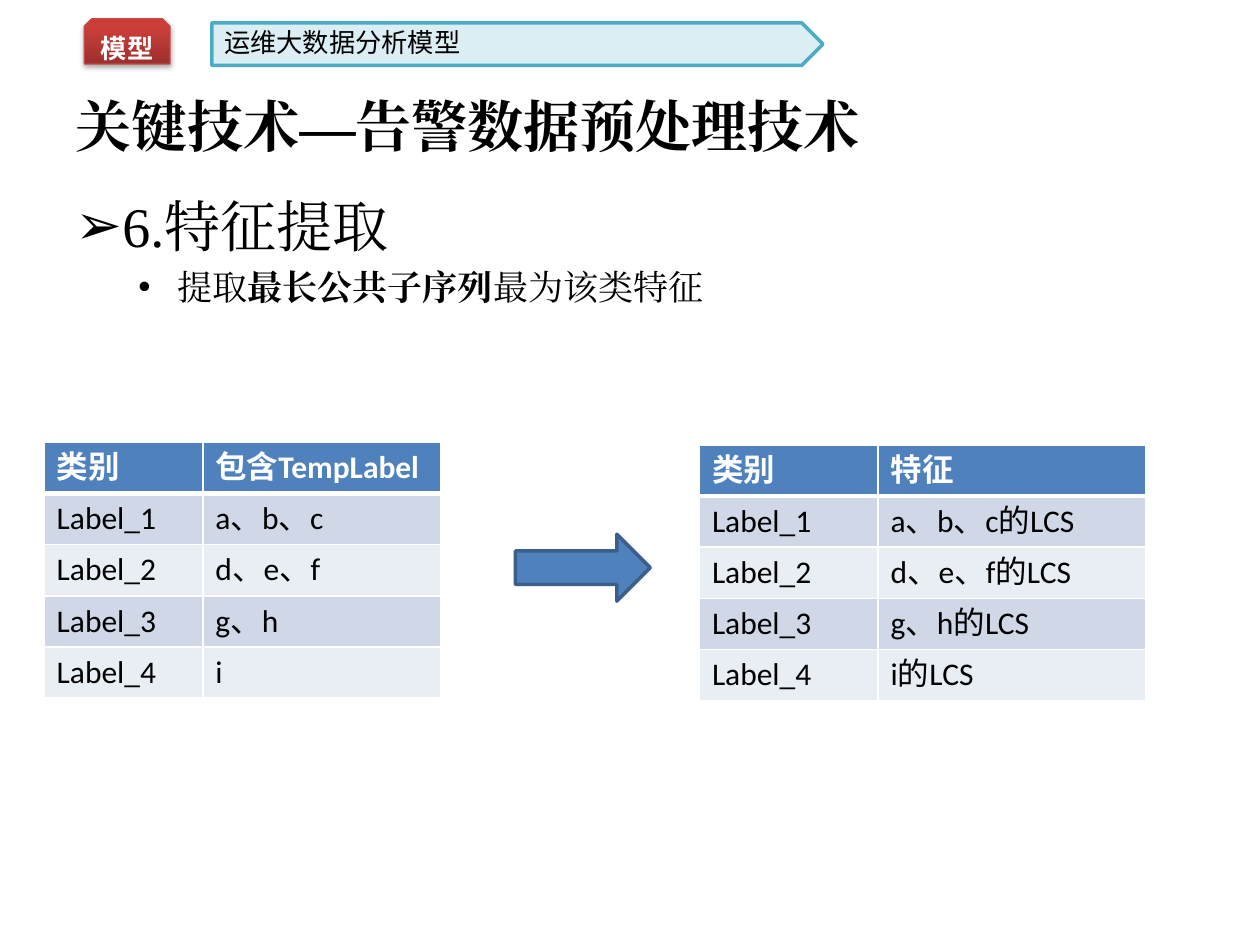
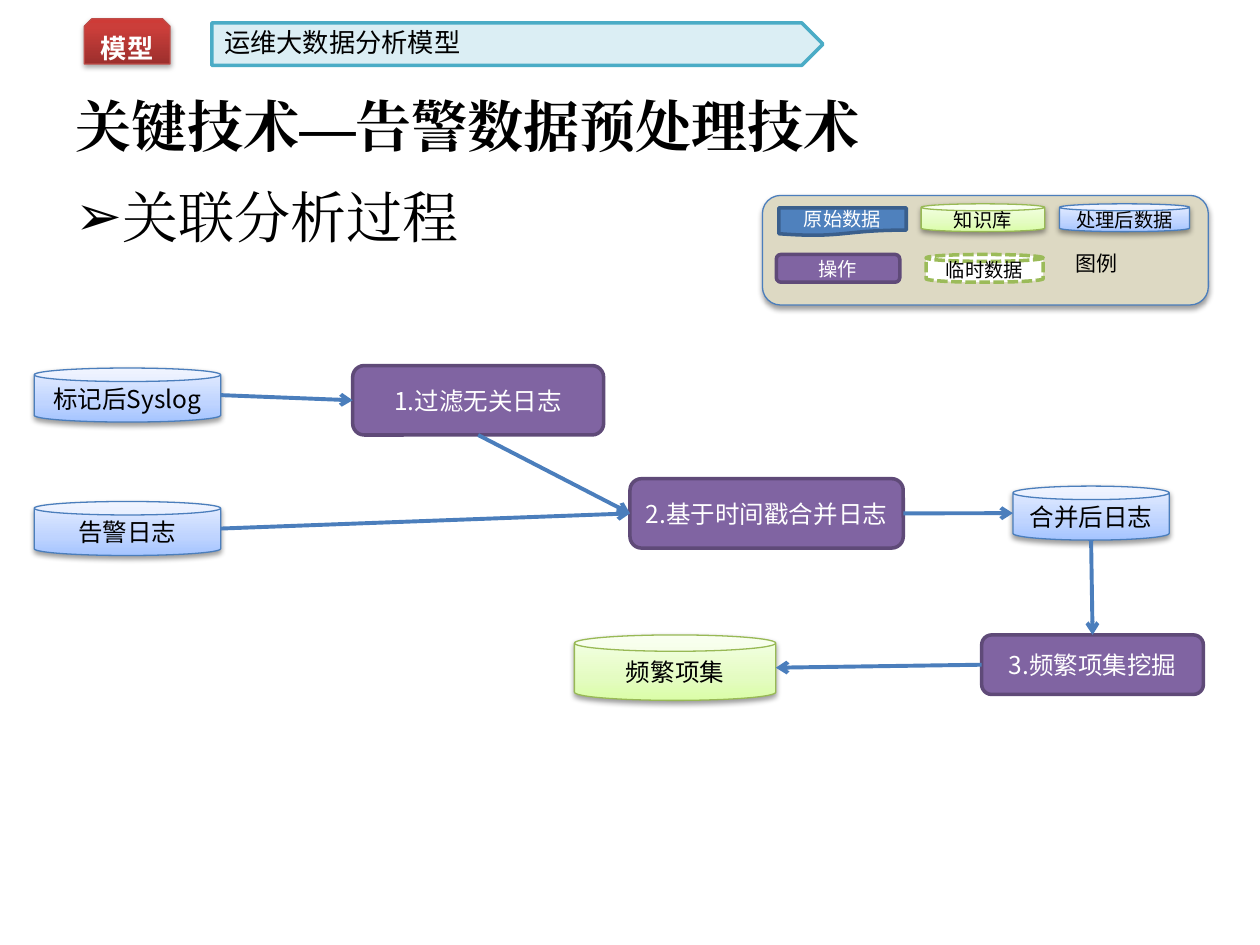
from collections import namedtuple

import pptx
import pptx.dml.color
import pptx.enum.dml
import pptx.enum.shapes
import pptx.enum.text
import pptx.oxml.ns
import pptx.util
from lxml import etree

Cm, Pt = pptx.util.Cm, pptx.util.Pt
RGBColor = pptx.dml.color.RGBColor
SHAPE = pptx.enum.shapes.MSO_SHAPE
ALIGN = pptx.enum.text.PP_ALIGN
ANCHOR = pptx.enum.text.MSO_ANCHOR
qn = pptx.oxml.ns.qn

BLACK = RGBColor(0x00, 0x00, 0x00)
WHITE = RGBColor(0xFF, 0xFF, 0xFF)
BLUE = RGBColor(0x4F, 0x81, 0xBD)
BLUE_EDGE = RGBColor(0x3A, 0x5F, 0x8C)
BLUE_LINE = RGBColor(0x4B, 0x7E, 0xBC)
ROW_DARK = RGBColor(0xD0, 0xD8, 0xE8)
ROW_LIGHT = RGBColor(0xE9, 0xED, 0xF4)
PURPLE = RGBColor(0x80, 0x64, 0xA2)
PURPLE_EDGE = RGBColor(0x5F, 0x4A, 0x78)
GREEN = RGBColor(0x9B, 0xBB, 0x59)
GREEN_LINE = RGBColor(0x98, 0xB9, 0x55)
AQUA = RGBColor(0x4B, 0xAC, 0xC6)
AQUA_PALE = RGBColor(0xDB, 0xEE, 0xF4)
RED_LINE = RGBColor(0xBF, 0x4C, 0x48)
TAN = RGBColor(0xDD, 0xD9, 0xC3)
RED_STOPS = [(0, RGBColor(0x9C, 0x2F, 0x2D)), (80, RGBColor(0xCB, 0x3E, 0x3A)),
             (100, RGBColor(0xCE, 0x3B, 0x37))]
BLUE_STOPS = [(0, RGBColor(0xA4, 0xC4, 0xFF)), (35, RGBColor(0xBF, 0xD4, 0xFF)),
              (100, RGBColor(0xE6, 0xEE, 0xFF))]
GREEN_STOPS = [(0, RGBColor(0xDA, 0xFD, 0xA7)), (35, RGBColor(0xE4, 0xFC, 0xC2)),
               (100, RGBColor(0xF5, 0xFF, 0xE7))]

SANS, SERIF, TABLE_FONT = "Noto Sans CJK SC", "Times New Roman", "Calibri"

# fill is a colour or a list of gradient stops; shadow is opacity in percent
Look = namedtuple("Look", "kind fill edge width text shadow", defaults=(BLACK, 0))
BANNER = Look(SHAPE.PENTAGON, AQUA_PALE, AQUA, 2)
BADGE = Look(SHAPE.SNIP_2_SAME_RECTANGLE, RED_STOPS, RED_LINE, 0.75, WHITE, 35)
ARROW = Look(SHAPE.RIGHT_ARROW, BLUE, BLUE_EDGE, 2)
RAW_DATA = Look(SHAPE.FLOWCHART_DOCUMENT, BLUE, BLUE_EDGE, 2, WHITE)
OPERATION = Look(SHAPE.ROUNDED_RECTANGLE, PURPLE, PURPLE_EDGE, 2, WHITE)
KNOWLEDGE = Look(SHAPE.CAN, GREEN_STOPS, GREEN_LINE, 0.75, BLACK, 38)
PROCESSED = Look(SHAPE.CAN, BLUE_STOPS, BLUE_LINE, 0.75, BLACK, 38)
TEMPORARY = Look(SHAPE.CAN, WHITE, GREEN, 2)
LEGEND_PANEL = Look(SHAPE.ROUNDED_RECTANGLE, TAN, BLUE_LINE, 0.75, BLACK, 38)

TOP, LEFT, BOTTOM, RIGHT = range(4)


def format_runs(paragraph, font_name, size, color, bold=False):
    for run in paragraph.runs:
        run.font.name = font_name
        run.font.size = Pt(size)
        run.font.bold = bold
        run.font.color.rgb = color
        latin = run.font._element.find(qn("a:latin"))
        east_asian = etree.Element(qn("a:ea"), typeface=font_name)
        latin.addnext(east_asian)


def fill_gradient(shape, stops):
    """Fill from bottom to top through (percent, colour) stops."""
    shape.fill.gradient()
    shape.fill.gradient_angle = 90
    stop_list = shape._element.spPr.find(".//" + qn("a:gsLst"))
    for old_stop in list(stop_list):
        stop_list.remove(old_stop)
    for percent, color in stops:
        stop = etree.SubElement(stop_list, qn("a:gs"), pos=str(percent * 1000))
        etree.SubElement(stop, qn("a:srgbClr"), val=str(color))


def cast_shadow(shape, opacity):
    effects = shape._element.spPr.find(qn("a:effectLst"))
    shadow = etree.SubElement(effects, qn("a:outerShdw"), blurRad=str(Pt(3.1)),
                              dist=str(Pt(1.7)), dir="5400000", rotWithShape="0")
    color = etree.SubElement(shadow, qn("a:srgbClr"), val=str(BLACK))
    etree.SubElement(color, qn("a:alpha"), val=str(opacity * 1000))


def add_block(shapes, look, left, top, width, height, label="", size=14, bold=False):
    block = shapes.add_shape(look.kind, Cm(left), Cm(top), Cm(width), Cm(height))
    if isinstance(look.fill, RGBColor):
        block.fill.solid()
        block.fill.fore_color.rgb = look.fill
    else:
        fill_gradient(block, look.fill)
    block.line.color.rgb = look.edge
    block.line.width = Pt(look.width)
    block.shadow.inherit = False
    if look.shadow:
        cast_shadow(block, look.shadow)
    if label:
        frame = block.text_frame
        frame.text = label
        frame.word_wrap = True
        frame.vertical_anchor = ANCHOR.MIDDLE
        frame.paragraphs[0].alignment = ALIGN.CENTER
        format_runs(frame.paragraphs[0], SANS, size, look.text, bold)
    return block


def add_text(shapes, left, top, width, height, text, font_name, size, bold=False):
    frame = shapes.add_textbox(Cm(left), Cm(top), Cm(width), Cm(height)).text_frame
    frame.word_wrap = True
    frame.text = text
    format_runs(frame.paragraphs[0], font_name, size, BLACK, bold)
    return frame


def add_bullet(paragraph, mark, margin, hanging, size):
    properties = paragraph._p.get_or_add_pPr()
    properties.set("marL", str(Cm(margin)))
    properties.set("indent", str(-Cm(hanging)))
    paragraph.space_before = Pt(size * 0.2)
    etree.SubElement(properties, qn("a:buFont"), typeface="Arial")
    etree.SubElement(properties, qn("a:buChar"), char=mark)


def add_heading(shapes, top, height, text):
    frame = add_text(shapes, 1.27, top, 22.86, height, text, SERIF, 32)
    add_bullet(frame.paragraphs[0], "➢", 0.95, 0.95, 32)
    return frame


def border_cell(cell, bottom_width):
    properties = cell._tc.get_or_add_tcPr()
    widths = (("a:lnL", 1), ("a:lnR", 1), ("a:lnT", 1), ("a:lnB", bottom_width))
    for position, (tag, width) in enumerate(widths):
        border = etree.Element(qn(tag), w=str(Pt(width)))
        fill = etree.SubElement(border, qn("a:solidFill"))
        etree.SubElement(fill, qn("a:srgbClr"), val=str(WHITE))
        properties.insert(position, border)


def add_label_table(shapes, left, top, column_widths, rows):
    row_height = 1.03
    table = shapes.add_table(len(rows), len(column_widths), Cm(left), Cm(top),
                             Cm(sum(column_widths)), Cm(row_height * len(rows))).table
    for column, width in zip(table.columns, column_widths):
        column.width = Cm(width)
    for r, texts in enumerate(rows):
        header = r == 0
        for c, text in enumerate(texts):
            cell = table.cell(r, c)
            cell.text = text
            format_runs(cell.text_frame.paragraphs[0], TABLE_FONT, 18,
                        WHITE if header else BLACK, header)
            cell.fill.solid()
            cell.fill.fore_color.rgb = BLUE if header else (ROW_LIGHT, ROW_DARK)[r % 2]
            border_cell(cell, 3 if header else 1)


def side_middle(block, side):
    x = block.left + {LEFT: 0, RIGHT: block.width}.get(side, block.width // 2)
    y = block.top + {TOP: 0, BOTTOM: block.height}.get(side, block.height // 2)
    return x, y


def add_link(shapes, source, source_side, target, target_side):
    """Draw an arrow between two sides, joined where the block is an operation."""
    link = shapes.add_connector(pptx.enum.shapes.MSO_CONNECTOR.STRAIGHT,
                                *side_middle(source, source_side),
                                *side_middle(target, target_side))
    if source.auto_shape_type == OPERATION.kind:
        link.begin_connect(source, source_side)
    if target.auto_shape_type == OPERATION.kind:
        link.end_connect(target, target_side)
    link.line.color.rgb = BLUE_LINE
    link.line.width = Pt(2.25)
    properties = link._element.spPr
    etree.SubElement(properties.find(qn("a:ln")), qn("a:tailEnd"), type="arrow")
    etree.SubElement(properties, qn("a:effectLst"))


def add_slide(deck):
    """Add a slide with the shared title, badge and banner."""
    shapes = deck.slides.add_slide(deck.slide_layouts[6]).shapes
    title = add_text(shapes, 1.27, 1.12, 22.86, 2.82, "关键技术—告警数据预处理技术",
                     SERIF, 32, True)
    title.vertical_anchor = ANCHOR.MIDDLE
    banner = shapes.add_group_shape().shapes
    add_block(banner, BANNER, 4.27, 0.46, 12.32, 0.86)
    add_text(banner, 4.27, 0.41, 12.32, 0.89, "运维大数据分析模型", SANS, 15)
    badge = add_block(shapes, BADGE, 1.7, 0.38, 1.73, 0.91, "模型", 15, True)
    badge.text_frame.paragraphs[0].line_spacing = 1.3
    return shapes


def add_legend(shapes):
    legend = shapes.add_group_shape().shapes
    add_block(legend, LEGEND_PANEL, 15.37, 3.94, 8.99, 2.21)
    entries = [
        (RAW_DATA, 15.7, 4.19, 2.57, "原始数据"),
        (OPERATION, 15.65, 5.13, 2.49, "操作"),
        (KNOWLEDGE, 18.57, 4.11, 2.49, "知识库"),
        (TEMPORARY, 18.67, 5.13, 2.36, "临时数据"),
        (PROCESSED, 21.36, 4.11, 2.62, "处理后数据"),
    ]
    for look, left, top, width, label in entries:
        entry = add_block(legend, look, left, top, width, 0.56, label, 11)
        if look is TEMPORARY:
            entry.line.dash_style = pptx.enum.dml.MSO_LINE.SQUARE_DOT
    add_text(legend, 21.44, 4.93, 2.62, 0.76, "图例", SANS, 12)


def build_feature_slide(deck):
    shapes = add_slide(deck)
    body = add_heading(shapes, 3.73, 3.99, "6.特征提取")
    detail = body.add_paragraph()
    detail.level = 1
    phrases = ["提取", "最长公共子序列", "最为该类特征"]
    for phrase in phrases:
        detail.add_run().text = phrase
    format_runs(detail, SERIF, 20, BLACK)
    detail.runs[1].font.bold = True
    add_bullet(detail, "•", 2.06, 0.79, 20)

    members = ["a、b、c", "d、e、f", "g、h", "i"]
    contents = [(f"Label_{n}", member) for n, member in enumerate(members, 1)]
    features = [(label, member + "的LCS") for label, member in contents]
    add_label_table(shapes, 0.89, 8.92, (3.2, 4.8), [("类别", "包含TempLabel")] + contents)
    add_block(shapes, ARROW, 10.39, 10.77, 2.72, 1.35)
    add_label_table(shapes, 14.1, 8.97, (3.6, 5.4), [("类别", "特征")] + features)


def build_process_slide(deck):
    shapes = add_slide(deck)
    add_heading(shapes, 3.56, 3.38, "关联分析过程")
    add_legend(shapes)

    syslog = add_block(shapes, PROCESSED, 0.69, 7.42, 3.76, 1.09, "标记后Syslog")
    alarms = add_block(shapes, PROCESSED, 0.69, 10.11, 3.76, 1.09, "告警日志")
    filtering = add_block(shapes, OPERATION, 7.11, 7.37, 5.06, 1.4, "1.过滤无关日志")
    merging = add_block(shapes, OPERATION, 12.7, 9.65, 5.51, 1.4, "2.基于时间戳合并日志")
    merged = add_block(shapes, PROCESSED, 20.42, 9.8, 3.15, 1.09, "合并后日志")
    mining = add_block(shapes, OPERATION, 19.79, 12.8, 4.47, 1.2, "3.频繁项集挖掘")
    itemsets = add_block(shapes, KNOWLEDGE, 11.58, 12.8, 4.06, 1.32, "频繁项集")

    add_link(shapes, syslog, RIGHT, filtering, LEFT)
    add_link(shapes, filtering, BOTTOM, merging, LEFT)
    add_link(shapes, alarms, RIGHT, merging, LEFT)
    add_link(shapes, merging, RIGHT, merged, LEFT)
    add_link(shapes, merged, BOTTOM, mining, TOP)
    add_link(shapes, mining, LEFT, itemsets, RIGHT)


def main():
    deck = pptx.Presentation()
    deck.slide_width, deck.slide_height = Cm(25.4), Cm(19.05)
    build_feature_slide(deck)
    build_process_slide(deck)
    deck.save("out.pptx")


if __name__ == "__main__":
    main()
